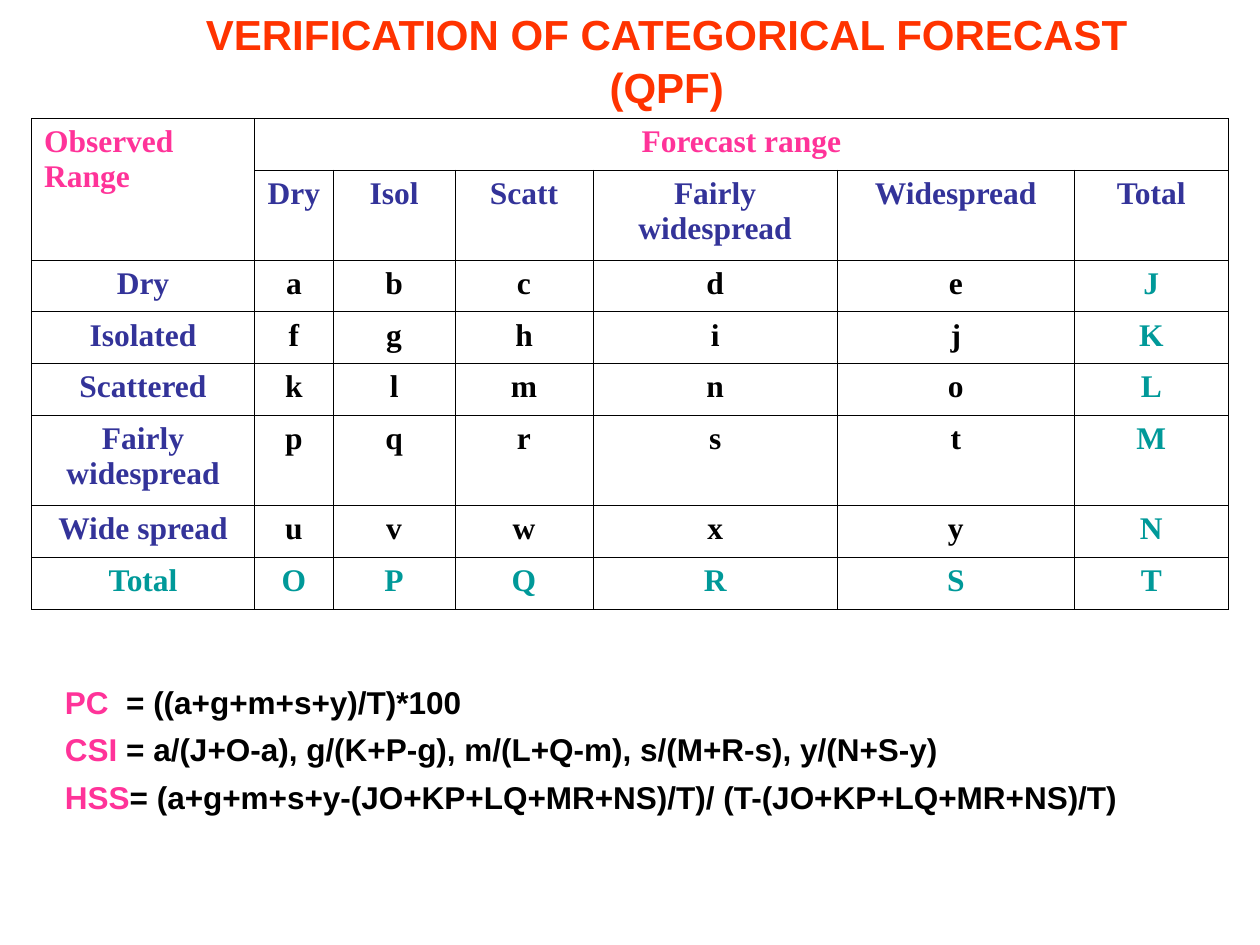
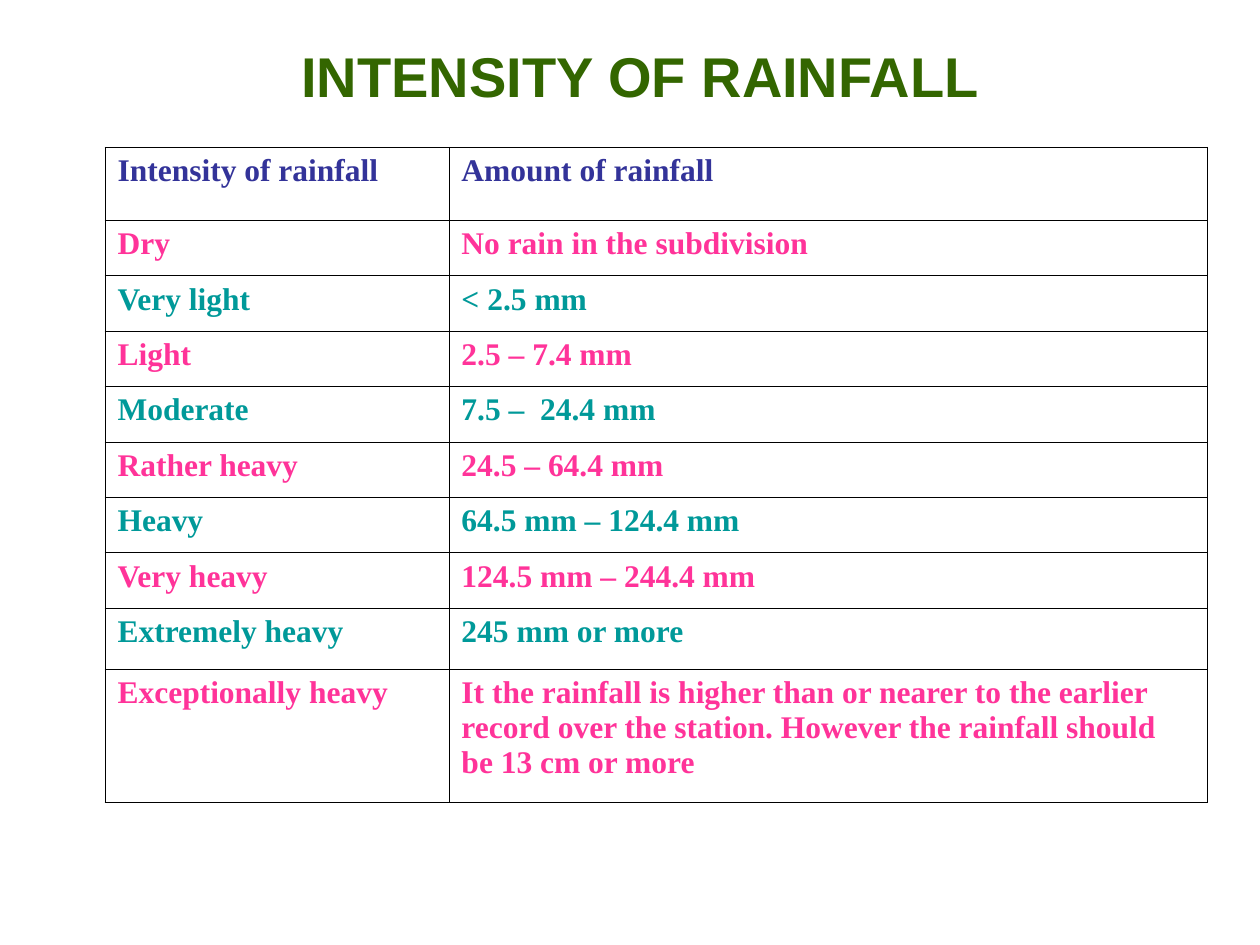
from lxml import etree
from pptx import Presentation
from pptx.dml.color import RGBColor
from pptx.enum.text import PP_ALIGN
from pptx.oxml.ns import qn
from pptx.util import Pt

LEFT, CENTER = PP_ALIGN.LEFT, PP_ALIGN.CENTER
COLORS = {
    "black": "000000",
    "pink": "FF3399",
    "navy": "333399",
    "teal": "009999",
    "orange": "FF3300",
    "green": "336600",
}
BORDER_WIDTH = Pt(0.45)


def add_title(slide, text, left, top, width, height, size, color):
    box = slide.shapes.add_textbox(Pt(left), Pt(top), Pt(width), Pt(height))
    box.text_frame.word_wrap = True
    paragraph = box.text_frame.paragraphs[0]
    paragraph.text = text
    paragraph.alignment = CENTER
    paragraph.line_spacing = 1.05
    paragraph.font.name = "Arial"
    paragraph.font.size = Pt(size)
    paragraph.font.bold = True
    paragraph.font.color.rgb = RGBColor.from_string(COLORS[color])


def add_grid(slide, rows, left, top, widths, heights, choose_style):
    frame = slide.shapes.add_table(
        len(rows), len(widths), Pt(left), Pt(top), Pt(sum(widths)), Pt(sum(heights))
    )
    table = frame.table
    table.first_row = table.horz_banding = False
    for column, width in zip(table.columns, widths):
        column.width = Pt(width)
    for row, height in zip(table.rows, heights):
        row.height = Pt(height)
    for row_index, row in enumerate(rows):
        for column_index, text in enumerate(row):
            cell = table.cell(row_index, column_index)
            properties = cell._tc.get_or_add_tcPr()
            for side in ("a:lnL", "a:lnR", "a:lnT", "a:lnB"):
                line = etree.SubElement(properties, qn(side), w=str(BORDER_WIDTH))
                fill = etree.SubElement(line, qn("a:solidFill"))
                etree.SubElement(fill, qn("a:srgbClr"), val=COLORS["black"])
            cell.fill.background()
            cell.text = text
            color, alignment = choose_style(row_index, column_index)
            for paragraph in cell.text_frame.paragraphs:
                paragraph.alignment = alignment
                paragraph.font.name = "Times New Roman"
                paragraph.font.size = Pt(18)
                paragraph.font.bold = True
                paragraph.font.color.rgb = RGBColor.from_string(COLORS[color])
    return table


def contingency_style(row, column):
    if row == 0:
        return "pink", CENTER if column else LEFT
    if row == 1:
        return "navy", CENTER
    if row == 7 or column == 6:
        return "teal", CENTER
    return "black" if column else "navy", CENTER


def intensity_style(row, column):
    if row == 0:
        return "navy", LEFT
    return "pink" if row % 2 else "teal", LEFT


presentation = Presentation()
presentation.slide_width = Pt(720)
presentation.slide_height = Pt(540)
blank_layout = presentation.slide_layouts[6]

slide = presentation.slides.add_slide(blank_layout)
contingency_rows = [
    ["Observed\nRange", "Forecast range", "", "", "", "", ""],
    ["", "Dry", "Isol", "Scatt", "Fairly widespread", "Widespread", "Total"],
    ["Dry", *"abcdeJ"],
    ["Isolated", *"fghijK"],
    ["Scattered", *"klmnoL"],
    ["Fairly widespread", *"pqrstM"],
    ["Wide spread", *"uvwxyN"],
    ["Total", *"OPQRST"],
]
table = add_grid(
    slide, contingency_rows, 18, 67.7,
    [127.5, 45, 69.5, 79, 139.5, 135.5, 88],
    [29.5, 51.5, 29.5, 29.5, 29.5, 51.5, 30, 29.5],
    contingency_style,
)
table.cell(0, 0).merge(table.cell(1, 0))
table.cell(0, 1).merge(table.cell(0, 6))

scores = [
    ("PC  ", "= ((a+g+m+s+y)/T)*100"),
    ("CSI ", "= a/(J+O-a), g/(K+P-g), m/(L+Q-m), s/(M+R-s), y/(N+S-y)"),
    ("HSS", "= (a+g+m+s+y-(JO+KP+LQ+MR+NS)/T)/ (T-(JO+KP+LQ+MR+NS)/T)"),
]
score_box = slide.shapes.add_textbox(Pt(30), Pt(381), Pt(660), Pt(111))
score_frame = score_box.text_frame
score_frame.word_wrap = True
for index, (score, formula) in enumerate(scores):
    paragraph = score_frame.add_paragraph() if index else score_frame.paragraphs[0]
    paragraph.line_spacing = 1.26
    paragraph.font.name = "Arial"
    paragraph.font.size = Pt(18)
    paragraph.font.bold = True
    for text, color in ((score, "pink"), (formula, "black")):
        run = paragraph.add_run()
        run.text = text
        run.font.color.rgb = RGBColor.from_string(COLORS[color])

add_title(slide, "VERIFICATION OF CATEGORICAL FORECAST (QPF)", 78, 0, 606, 65, 24, "orange")

slide = presentation.slides.add_slide(blank_layout)
intensity_rows = [
    ("Intensity of rainfall", "Amount of rainfall"),
    ("Dry", "No rain in the subdivision"),
    ("Very light", "< 2.5 mm"),
    ("Light", "2.5 – 7.4 mm"),
    ("Moderate", "7.5 –  24.4 mm"),
    ("Rather heavy", "24.5 – 64.4 mm"),
    ("Heavy", "64.5 mm – 124.4 mm"),
    ("Very heavy", "124.5 mm – 244.4 mm"),
    ("Extremely heavy", "245 mm or more"),
    (
        "Exceptionally heavy",
        "It the rainfall is higher than or nearer to the earlier record over the "
        "station. However the rainfall should be 13 cm or more",
    ),
]
add_grid(
    slide, intensity_rows, 60, 84.2,
    [196.5, 433.5], [41.8] + [31.65] * 7 + [35, 76], intensity_style,
)
add_title(slide, "INTENSITY OF RAINFALL", 150, 18, 432, 46, 32, "green")

presentation.save("out.pptx")
